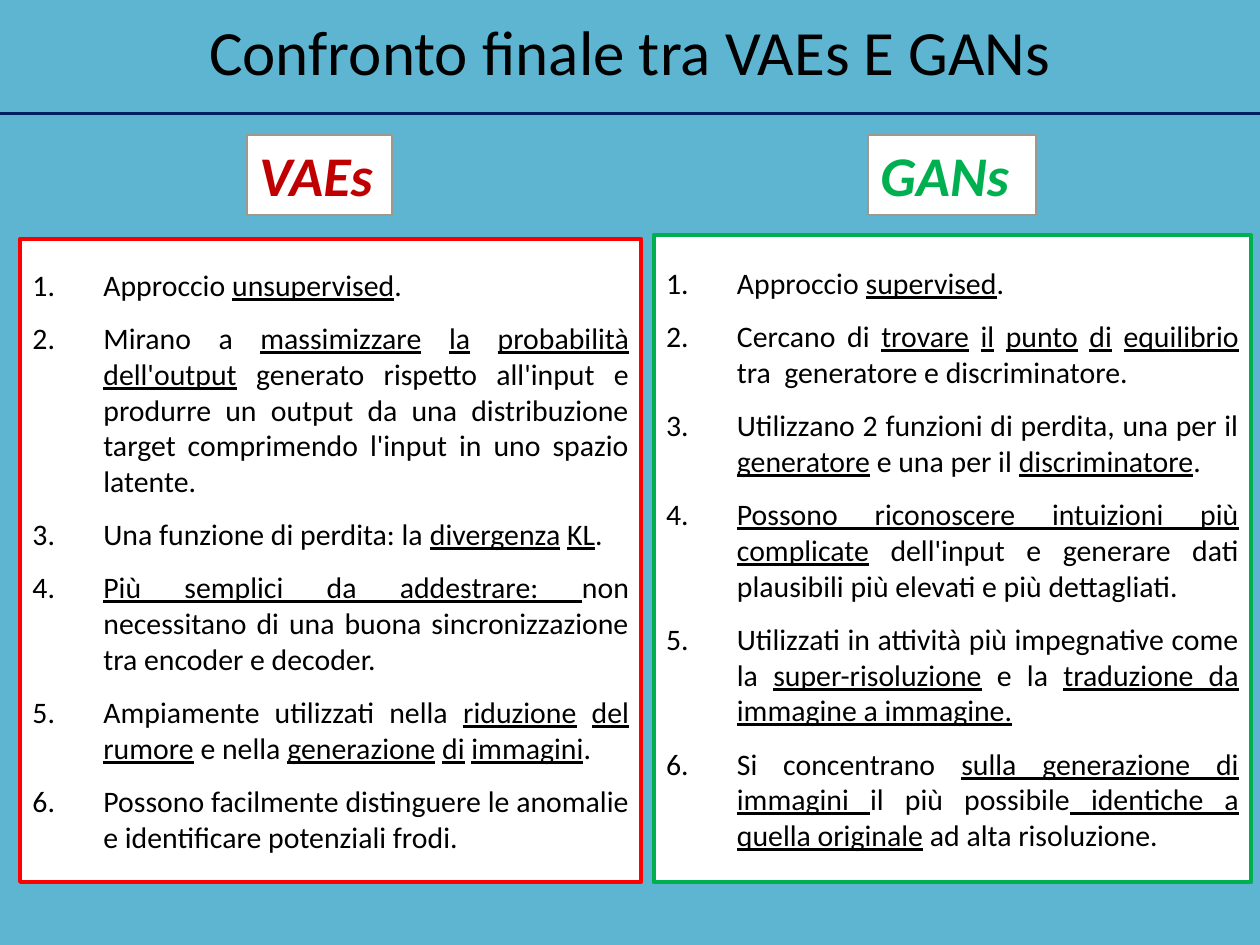
from dataclasses import dataclass

from lxml import etree
from pptx import Presentation
from pptx import util as u
from pptx.dml.color import RGBColor
from pptx.enum import shapes, text
from pptx.oxml.ns import qn

FONT = "Calibri"
COLORS = {
    "background": "5DB5D1",
    "white": "FFFFFF",
    "black": "000000",
    "rule": "002060",
    "label_border": "A0988C",
    "vae_label": "C00000",
    "vae_border": "FF0000",
    "gan": "00B050",
}
INDENT = 40.5


@dataclass
class Box:
    left: float
    top: float
    width: float
    height: float


@dataclass
class Column:
    name: str
    label_color: str
    border_color: str
    label_box: Box
    list_box: Box
    points: list[str]  # underlined words stand between underscores


COLUMNS = [
    Column(
        "VAEs", "vae_label", "vae_border",
        Box(141, 77, 83, 46), Box(11.5, 136.5, 355, 367.5),
        [
            "Approccio _unsupervised_.",
            "Mirano a _massimizzare_ _la_ _probabilità_ _dell'output_ generato rispetto "
            "all'input e produrre un output da una distribuzione target comprimendo "
            "l'input in uno spazio latente.",
            "Una funzione di perdita: la _divergenza_ _KL_.",
            "_Più semplici da addestrare: _non necessitano di una buona "
            "sincronizzazione tra encoder e decoder.",
            "Ampiamente utilizzati nella _riduzione_ _del_ _rumore_ e nella "
            "_generazione_ _di_ _immagini_.",
            "Possono facilmente distinguere le anomalie e identificare potenziali frodi.",
        ],
    ),
    Column(
        "GANs", "gan", "gan",
        Box(496, 77, 96, 46), Box(373.5, 134.5, 341.5, 369.5),
        [
            "Approccio _supervised_.",
            "Cercano di _trovare_ _il_ _punto_ _di_ _equilibrio_ tra  generatore e "
            "discriminatore.",
            "Utilizzano 2 funzioni di perdita, una per il _generatore_ e una per il "
            "_discriminatore_.",
            "_Possono riconoscere intuizioni più complicate_ dell'input e generare "
            "dati plausibili più elevati e più dettagliati.",
            "Utilizzati in attività più impegnative come la _super-risoluzione_ e la "
            "_traduzione da immagine a immagine._",
            "Si concentrano _sulla generazione di immagini _il più possibile_ identiche "
            "a quella originale_ ad alta risoluzione.",
        ],
    ),
]


def rgb(name: str) -> RGBColor:
    return RGBColor.from_string(COLORS[name])


def style_font(p, size: float, color: str) -> None:
    p.font.name = FONT
    p.font.size = u.Pt(size)
    p.font.color.rgb = rgb(color)


def add_panel(slide, box: Box, border: str, weight: float):
    sp = slide.shapes.add_shape(
        shapes.MSO_SHAPE.RECTANGLE,
        u.Pt(box.left), u.Pt(box.top), u.Pt(box.width), u.Pt(box.height))
    sp.shadow.inherit = False
    sp.fill.solid()
    sp.fill.fore_color.rgb = rgb("white")
    sp.line.color.rgb = rgb(border)
    sp.line.width = u.Pt(weight)
    sp.text_frame.word_wrap = True
    return sp


def add_label(slide, column: Column) -> None:
    tf = add_panel(slide, column.label_box, "label_border", 1).text_frame
    tf.vertical_anchor = text.MSO_ANCHOR.TOP
    p = tf.paragraphs[0]
    p.text = column.name
    p.alignment = text.PP_ALIGN.LEFT
    style_font(p, 32, column.label_color)
    p.font.bold = p.font.italic = True


def number_paragraph(p) -> None:
    pPr = p._p.get_or_add_pPr()
    pPr.set("marL", str(u.Pt(INDENT)))
    pPr.set("indent", str(-u.Pt(INDENT)))
    bullet = etree.Element(qn("a:buAutoNum"), type="arabicPeriod")
    pPr.find(qn("a:defRPr")).addprevious(bullet)


def add_list(slide, column: Column) -> None:
    tf = add_panel(slide, column.list_box, column.border_color, 2.25).text_frame
    tf.vertical_anchor = text.MSO_ANCHOR.MIDDLE
    for i, point in enumerate(column.points):
        p = tf.add_paragraph() if i else tf.paragraphs[0]
        p.alignment = text.PP_ALIGN.JUSTIFY
        p.space_before = u.Pt(10)
        style_font(p, 17, "black")
        number_paragraph(p)
        for j, part in enumerate(point.split("_")):
            if part:
                r = p.add_run()
                r.text = part
                if j % 2:
                    r.font.underline = True


def add_title(slide) -> None:
    title = slide.shapes.title
    title.left, title.top = u.Pt(90), u.Pt(3.5)
    title.width, title.height = u.Pt(540), u.Pt(51)
    tf = title.text_frame
    tf.auto_size = text.MSO_AUTO_SIZE.NONE
    tf.vertical_anchor = text.MSO_ANCHOR.TOP
    p = tf.paragraphs[0]
    p.text = "Confronto finale tra VAEs E GANs"
    p.alignment = text.PP_ALIGN.CENTER
    style_font(p, 36, "black")


def add_rule(slide, y: float, width: int) -> None:
    line = slide.shapes.add_connector(
        shapes.MSO_CONNECTOR.STRAIGHT, 0, u.Pt(y), width, u.Pt(y))
    line.line.color.rgb = rgb("rule")
    line.line.width = u.Pt(1.5)
    etree.SubElement(line._element.spPr, qn("a:effectLst"))


def main() -> None:
    prs = Presentation()
    prs.slide_width, prs.slide_height = u.Pt(720), u.Pt(540)
    s = prs.slides.add_slide(prs.slide_layouts[5])
    s.background.fill.solid()
    s.background.fill.fore_color.rgb = rgb("background")

    # Heading
    add_title(s)
    add_rule(s, 65, prs.slide_width)

    # Comparison columns
    for column in COLUMNS:
        add_label(s, column)
        add_list(s, column)

    prs.save("out.pptx")


if __name__ == "__main__":
    main()
